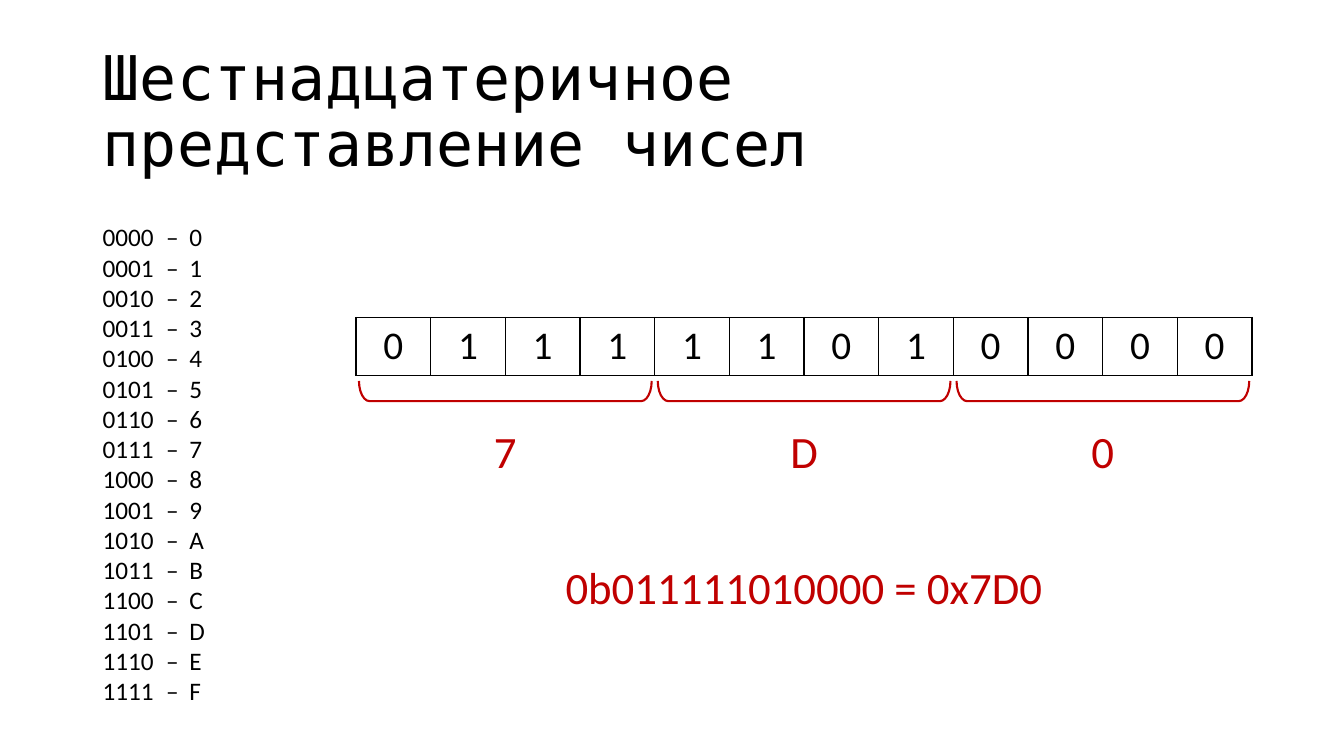
from lxml import etree
from pptx import Presentation
from pptx.dml.color import RGBColor
from pptx.enum.shapes import MSO_SHAPE
from pptx.enum.text import MSO_ANCHOR, PP_ALIGN
from pptx.oxml import parse_xml
from pptx.oxml.ns import nsdecls, qn
from pptx.util import Inches, Pt

TITLE = "Шестнадцатеричное представление чисел"
BITS = "011111010000"
HEX_DIGITS = "7D0"
EQUATION = "0b011111010000 = 0x7D0"
CODES = [f"{value:04b}\t–\t{value:X}" for value in range(16)]

BLACK = RGBColor(0, 0, 0)
RED = RGBColor(0xC0, 0, 0)
BODY_FONT, TITLE_FONT = "Calibri", "DejaVu Sans Mono"
LEFT, CENTER = PP_ALIGN.LEFT, PP_ALIGN.CENTER
MIDDLE = MSO_ANCHOR.MIDDLE
BRACKET = MSO_SHAPE.RIGHT_BRACKET

SLIDE_W, SLIDE_H = 13.33, 7.5
MARGIN = 0.92
ROW_LEFT, ROW_TOP, ROW_W, ROW_H = 3.53, 3.15, 8.89, 0.57
GROUP_W = ROW_W / len(HEX_DIGITS)
BRACKET_DEPTH, BRACKET_GAP = 0.2, 0.06
LABEL_W, LABEL_H = 0.48, 0.64
CODE_TABS = (0.63, 0.86)


def write(frame, lines, size, color=BLACK, font=BODY_FONT, align=CENTER, spacing=None, tabs=()):
    frame.word_wrap = True
    for index, line in enumerate(lines):
        paragraph = frame.paragraphs[0] if index == 0 else frame.add_paragraph()
        if tabs:
            tab_list = etree.SubElement(paragraph._p.get_or_add_pPr(), qn("a:tabLst"))
            for stop in tabs:
                etree.SubElement(tab_list, qn("a:tab"), pos=str(Inches(stop)), algn="l")
        run = paragraph.add_run()
        run.text = line
        run.font.size, run.font.name = Pt(size), font
        run.font.color.rgb = color
        paragraph.alignment = align
        if spacing:
            paragraph.line_spacing = spacing


def add_text(slide, left, top, width, height, lines, size, **text_format):
    box = slide.shapes.add_textbox(Inches(left), Inches(top), Inches(width), Inches(height))
    write(box.text_frame, lines, size, **text_format)


def outline_cell(cell):
    properties = cell._tc.get_or_add_tcPr()
    for position, side in enumerate(("lnL", "lnR", "lnT", "lnB")):
        properties.insert(position, parse_xml(
            f'<a:{side} {nsdecls("a")} w="{Pt(1)}"><a:solidFill>'
            f'<a:srgbClr val="{BLACK}"/></a:solidFill></a:{side}>'))


def add_bit_row(slide):
    table = slide.shapes.add_table(
        1, len(BITS), Inches(ROW_LEFT), Inches(ROW_TOP), Inches(ROW_W), Inches(ROW_H)).table
    table.first_row = table.horz_banding = False
    for cell, bit in zip(table.iter_cells(), BITS):
        cell.fill.background()
        cell.vertical_anchor = MIDDLE
        write(cell.text_frame, [bit], 28)
        outline_cell(cell)


def add_hex_digit(slide, index, digit):
    """Put a bracket under four bits, with their hexadecimal digit below."""
    center_x = ROW_LEFT + (index + 0.5) * GROUP_W
    center_y = ROW_TOP + ROW_H + BRACKET_GAP + BRACKET_DEPTH / 2
    length = GROUP_W - BRACKET_GAP
    bracket = slide.shapes.add_shape(
        BRACKET, Inches(center_x - BRACKET_DEPTH / 2), Inches(center_y - length / 2),
        Inches(BRACKET_DEPTH), Inches(length))
    bracket.rotation = 90
    bracket.adjustments[0] = 0.525
    bracket.shadow.inherit = False
    bracket.fill.background()
    bracket.line.color.rgb, bracket.line.width = RED, Pt(1.5)
    add_text(slide, center_x - LABEL_W / 2, 4.15, LABEL_W, LABEL_H, [digit], 32, color=RED)


def main():
    deck = Presentation()
    deck.slide_width, deck.slide_height = Inches(SLIDE_W), Inches(SLIDE_H)
    slide = deck.slides.add_slide(deck.slide_layouts[5])

    title = slide.shapes.title
    title.left, title.top = Inches(MARGIN), Inches(0.4)
    title.width, title.height = Inches(SLIDE_W - 2 * MARGIN), Inches(1.45)
    title.text_frame.vertical_anchor = MIDDLE
    write(title.text_frame, [TITLE], 44, font=TITLE_FONT, align=LEFT, spacing=0.9)

    add_bit_row(slide)
    add_text(slide, MARGIN, 2.15, 1.23, 4.95, CODES, 18, align=LEFT, tabs=CODE_TABS)
    for index, digit in enumerate(HEX_DIGITS):
        add_hex_digit(slide, index, digit)
    add_text(slide, 4.54, 5.5, 6.87, LABEL_H, [EQUATION], 32, color=RED)
    deck.save("out.pptx")


if __name__ == "__main__":
    main()
